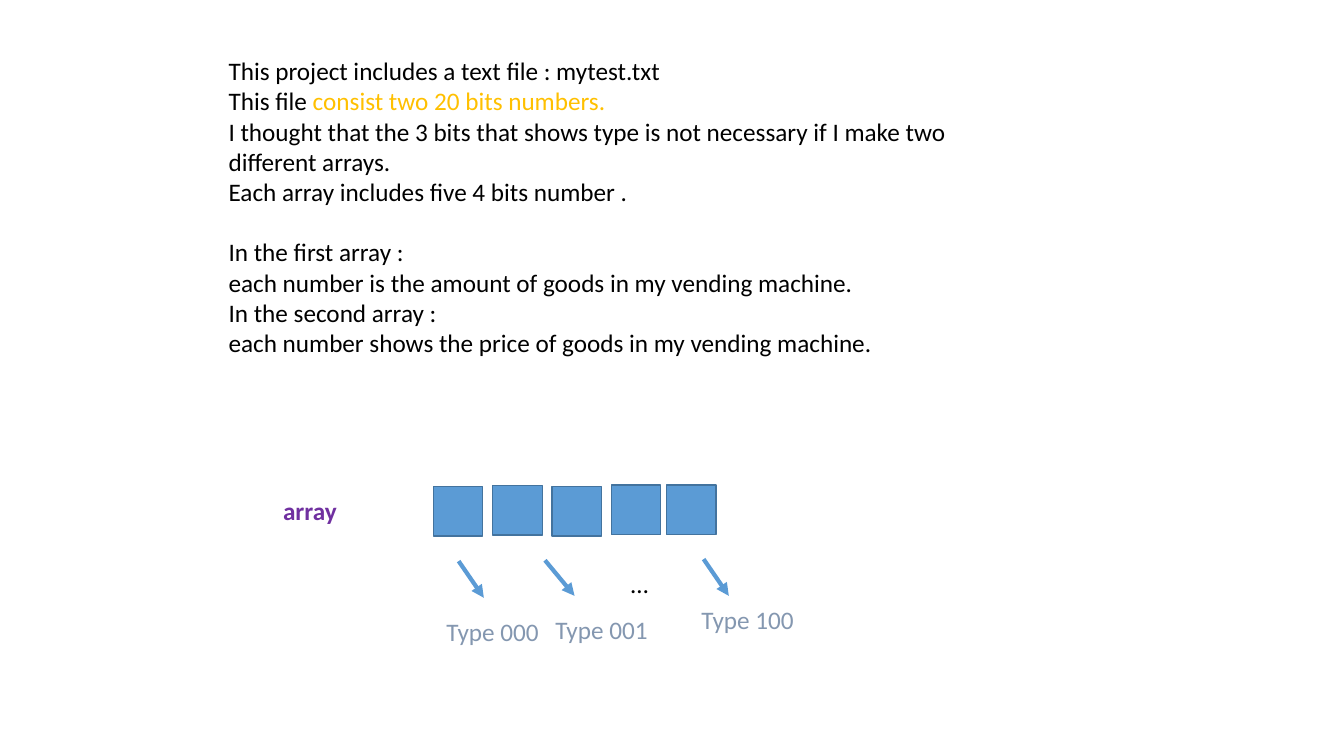
from dataclasses import dataclass

from lxml.etree import SubElement
from pptx import Presentation
from pptx.dml.color import RGBColor
from pptx.enum.shapes import MSO_CONNECTOR, MSO_SHAPE
from pptx.enum.text import MSO_AUTO_SIZE
from pptx.oxml.ns import qn
from pptx.slide import Slide
from pptx.util import Pt

COLORS = {
    "black": "000000",
    "gold": "FFC000",
    "purple": "7030A0",
    "slate": "8497B0",
    "blue": "5B9BD5",
    "border": "43739E",
}
FONT_FORMAT = {"name": "Calibri", "size": Pt(18)}
CELL_SIZE = 35.4
LABEL_HEIGHT = 29


@dataclass
class Run:
    text: str
    color: str = "black"
    bold: bool = False


@dataclass
class Line:
    runs: list[Run]
    space_before: float = 0


@dataclass
class TextBlock:
    left: float
    top: float
    width: float
    height: float
    lines: list[Line]


@dataclass
class Cell:
    left: float
    top: float


@dataclass
class Arrow:
    start: tuple[float, float]
    end: tuple[float, float]


def color(name: str) -> RGBColor:
    return RGBColor.from_string(COLORS[name])


def label(left: float, top: float, width: float, run: Run) -> TextBlock:
    return TextBlock(left, top, width, LABEL_HEIGHT, [Line([run])])


DESCRIPTION = TextBlock(156.2, 36, 574.6, 312.5, [
    Line([Run("This project includes a text file : mytest.txt")]),
    Line([Run("This file"), Run(" consist two 20 bits numbers.", "gold")]),
    Line([Run("I thought that the 3 bits that shows type is not necessary "
              "if I make two different arrays.")]),
    Line([Run("Each array includes five 4 bits number .")]),
    Line([Run("In the first array :")], space_before=21.6),
    Line([Run("each number is the amount of goods in my vending machine.")]),
    Line([Run("In the second array :")]),
    Line([Run("each number shows the price of goods in my vending machine.")]),
])
LABELS = [
    label(195.1, 350, 75.6, Run("array", "purple", bold=True)),
    label(311.8, 436.4, 100.8, Run("Type 000", "slate")),
    label(389.6, 434.9, 100.8, Run("Type 001", "slate")),
    label(494, 428.4, 100.8, Run("Type 100", "slate")),
    label(443.6, 402.5, 41.8, Run("…")),
]
CELLS = [
    Cell(309.5, 347.6),
    Cell(352, 346.9),
    Cell(394.4, 347.6),
    Cell(436.6, 346.5),
    Cell(476, 346.5),
]
ARROWS = [
    Arrow((327.6, 400.8), (345.6, 427)),
    Arrow((389.3, 400.2), (410.4, 425.6)),
    Arrow((502.6, 399.4), (520.6, 425.6)),
]


def add_text(slide: Slide, block: TextBlock) -> None:
    box = slide.shapes.add_textbox(
        Pt(block.left), Pt(block.top), Pt(block.width), Pt(block.height))
    frame = box.text_frame
    frame.word_wrap = True
    frame.auto_size = MSO_AUTO_SIZE.NONE
    for index, line in enumerate(block.lines):
        paragraph = frame.add_paragraph() if index else frame.paragraphs[0]
        paragraph.space_before = Pt(line.space_before)
        for item in line.runs:
            run = paragraph.add_run()
            run.text = item.text
            for attribute, value in {**FONT_FORMAT, "bold": item.bold}.items():
                setattr(run.font, attribute, value)
            run.font.color.rgb = color(item.color)


def add_cell(slide: Slide, cell: Cell) -> None:
    square = slide.shapes.add_shape(
        MSO_SHAPE.RECTANGLE, Pt(cell.left), Pt(cell.top),
        Pt(CELL_SIZE), Pt(CELL_SIZE))
    square.shadow.inherit = False
    square.fill.solid()
    square.fill.fore_color.rgb = color("blue")
    square.line.color.rgb = color("border")
    square.line.width = Pt(1)


def add_arrow(slide: Slide, arrow: Arrow) -> None:
    connector = slide.shapes.add_connector(
        MSO_CONNECTOR.STRAIGHT,
        *(Pt(value) for value in arrow.start + arrow.end))
    connector.line.color.rgb = color("blue")
    connector.line.width = Pt(3)
    SubElement(connector.line._get_or_add_ln(), qn("a:tailEnd"), type="triangle")
    SubElement(connector._element.spPr, qn("a:effectLst"))


def main() -> None:
    presentation = Presentation()
    presentation.slide_width = Pt(960)
    presentation.slide_height = Pt(540)
    slide = presentation.slides.add_slide(presentation.slide_layouts[6])

    # Project description
    add_text(slide, DESCRIPTION)

    # Array of five numbers
    for cell in CELLS:
        add_cell(slide, cell)

    # Arrows to the types
    for arrow in ARROWS:
        add_arrow(slide, arrow)

    # Array name, types and ellipsis
    for block in LABELS:
        add_text(slide, block)

    presentation.save("out.pptx")


if __name__ == "__main__":
    main()
